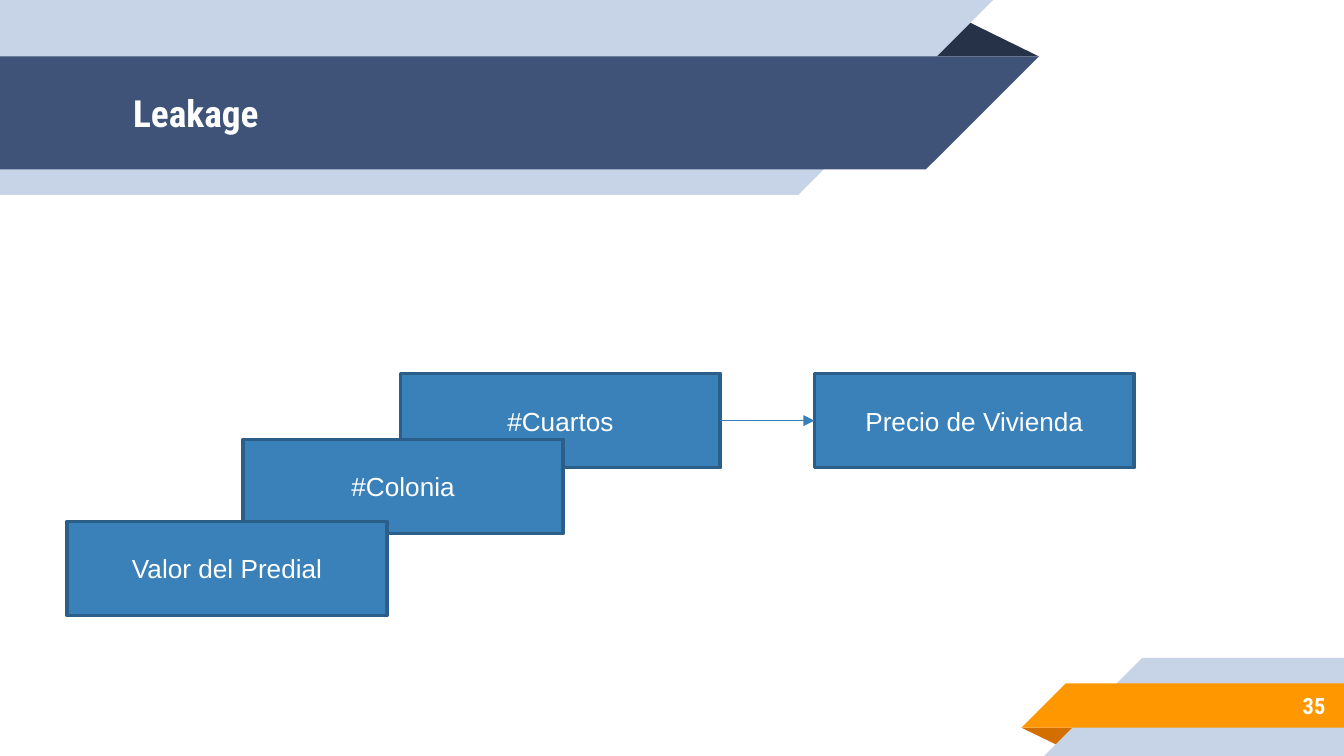
from lxml import etree
from pptx import Presentation
from pptx.dml.color import RGBColor
from pptx.enum.shapes import MSO_CONNECTOR, MSO_SHAPE
from pptx.enum.text import MSO_ANCHOR, PP_ALIGN
from pptx.oxml.ns import qn
from pptx.util import Inches, Pt

RECT = MSO_SHAPE.RECTANGLE
STRAIGHT = MSO_CONNECTOR.STRAIGHT
MIDDLE = MSO_ANCHOR.MIDDLE
LEFT, CENTER, RIGHT = PP_ALIGN.LEFT, PP_ALIGN.CENTER, PP_ALIGN.RIGHT

COLORS = {
    "pale": "C7D3E6", "navy": "3F5378", "navy_fold": "263248",
    "orange": "FF9800", "orange_fold": "D26F00",
    "box": "3A81BA", "box_line": "2B5F8A", "arrow": "367EB9",
    "white": "FFFFFF",
}
HEAD_FONT, BODY_FONT = "Roboto Condensed", "Arial"
SLIDE_W = 10
SLIDE_H = SLIDE_W * 9 / 16  # widescreen


def color(name):
    return RGBColor.from_string(COLORS[name])


def polygon(slide, x, y, points, fill):
    """Filled outline; points are relative to (x, y)."""
    pts = [(Inches(x + dx), Inches(y + dy)) for dx, dy in points]
    builder = slide.shapes.build_freeform(*pts[0], scale=1.0)
    builder.add_line_segments(pts[1:], close=True)
    sp = builder.convert_to_shape()
    sp.shadow.inherit = False
    sp.fill.solid()
    sp.fill.fore_color.rgb = color(fill)
    sp.line.fill.background()


def set_text(sp, text, size, font, align, bold=False):
    tf = sp.text_frame
    tf.word_wrap = True
    tf.vertical_anchor = MIDDLE
    tf.margin_left = tf.margin_right = Inches(0.1)
    tf.margin_top = tf.margin_bottom = Inches(0.1)
    tf.text = text
    p = tf.paragraphs[0]
    p.alignment = align
    f = p.runs[0].font
    f.size, f.name, f.bold = Pt(size), font, bold
    f.color.rgb = color("white")


def add_header(slide, x, y, w, h, title):
    """Ribbon with 45-degree ends, its fold and the title."""
    top, bar = 0.42, 0.84
    pale_w = w - 0.34
    polygon(slide, x, y, [(w - 0.85, top), (w - 0.57, 0.14), (w, top)], "navy_fold")
    polygon(slide, x, y, [(0, 0), (pale_w, 0), (pale_w - h, h), (0, h)], "pale")
    polygon(slide, x, y, [(0, top), (w, top), (w - bar, top + bar), (0, top + bar)], "navy")

    sp = slide.shapes.title
    sp.left, sp.top = Inches(x + 0.89), Inches(y + top)
    sp.width, sp.height = Inches(6.01), Inches(bar)
    set_text(sp, title, 20, HEAD_FONT, LEFT, bold=True)
    slide.shapes._spTree.append(sp._element)  # bring in front of the ribbon


def add_footer(slide, x, y, w, h, number):
    """Corner ribbon with its fold and the slide number."""
    top, bar = 0.19, 0.33
    low = top + bar
    pale_x = 0.17
    polygon(slide, x, y, [(0, low), (0.43, low), (0.29, low + 0.14)], "orange_fold")
    polygon(slide, x, y, [(pale_x + h, 0), (w, 0), (w, h), (pale_x, h)], "pale")
    polygon(slide, x, y, [(bar, top), (w, top), (w, low), (0, low)], "orange")

    sp = slide.shapes.add_textbox(Inches(x + 0.73), Inches(y + 0.18),
                                  Inches(1.63), Inches(0.35))
    set_text(sp, number, 12, HEAD_FONT, RIGHT, bold=True)


def add_box(slide, x, y, w, h, text):
    sp = slide.shapes.add_shape(RECT, Inches(x), Inches(y), Inches(w), Inches(h))
    sp.shadow.inherit = False
    sp.fill.solid()
    sp.fill.fore_color.rgb = color("box")
    sp.line.color.rgb = color("box_line")
    sp.line.width = Pt(2)
    etree.SubElement(sp.line._get_or_add_ln(), qn("a:round"))
    set_text(sp, text, 14, BODY_FONT, CENTER)
    return sp


def add_arrow(slide, source, target):
    """Arrow from the right side of source to the left side of target."""
    cxn = slide.shapes.add_connector(STRAIGHT, 0, 0, 0, 0)
    cxn.begin_connect(source, 3)
    cxn.end_connect(target, 1)
    cxn.line.color.rgb = color("arrow")
    cxn.line.width = Pt(0.75)
    etree.SubElement(cxn.line._get_or_add_ln(), qn("a:tailEnd"), type="triangle")
    etree.SubElement(cxn._element.spPr, qn("a:effectLst"))


def add_diagram(slide, x, y):
    """Overlapping predictors, the first one pointing to the price."""
    w, h = 2.38, 0.7
    price = add_box(slide, x + 5.56, y, w, h, "Precio de Vivienda")
    predictors = [
        (2.48, 0, "#Cuartos"),
        (1.31, 0.49, "#Colonia"),
        (0, 1.1, "Valor del Predial"),
    ]
    boxes = [add_box(slide, x + dx, y + dy, w, h, text) for dx, dy, text in predictors]
    add_arrow(slide, boxes[0], price)


def main():
    prs = Presentation()
    prs.slide_width, prs.slide_height = Inches(SLIDE_W), Inches(SLIDE_H)
    slide = prs.slides.add_slide(prs.slide_layouts[5])
    footer_w, footer_h = 2.4, 0.73
    add_header(slide, 0, 0, 7.73, 1.45, "Leakage")
    add_footer(slide, SLIDE_W - footer_w, SLIDE_H - footer_h, footer_w, footer_h, "35")
    add_diagram(slide, 0.5, 2.78)
    prs.save("out.pptx")


if __name__ == "__main__":
    main()
